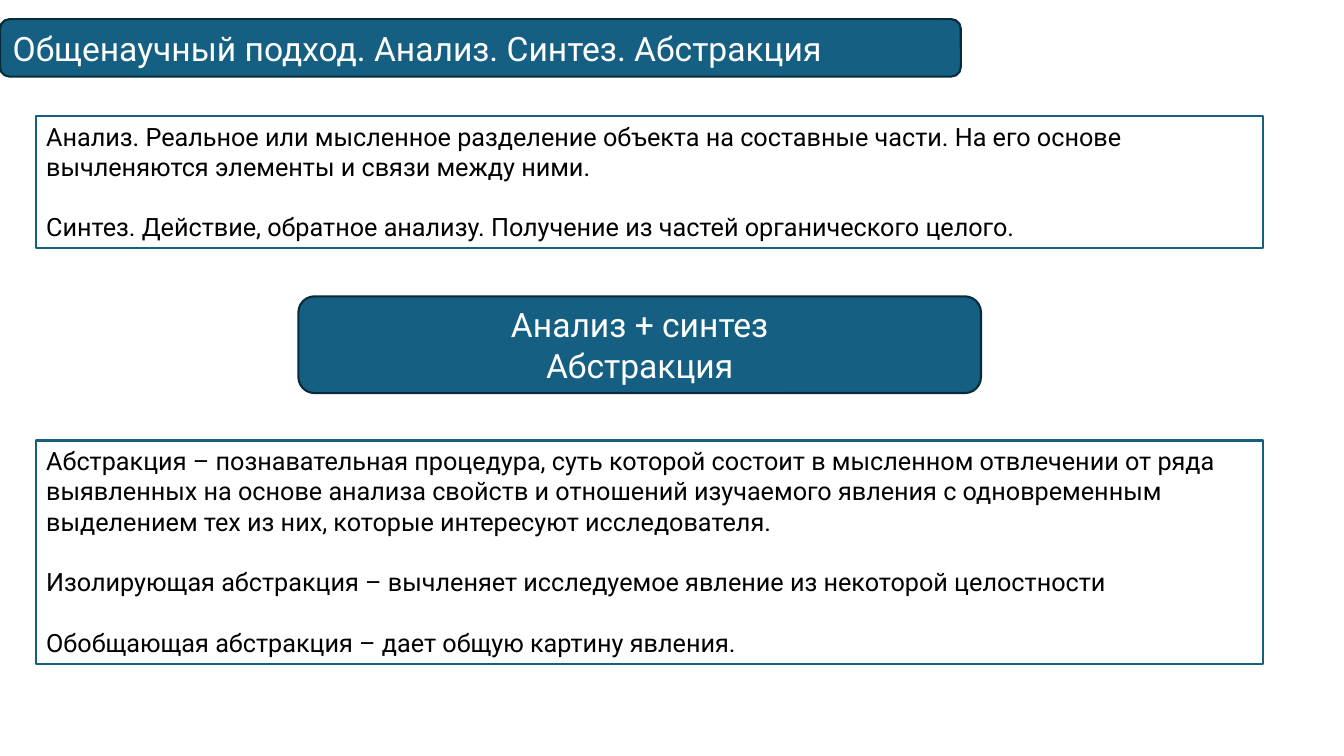
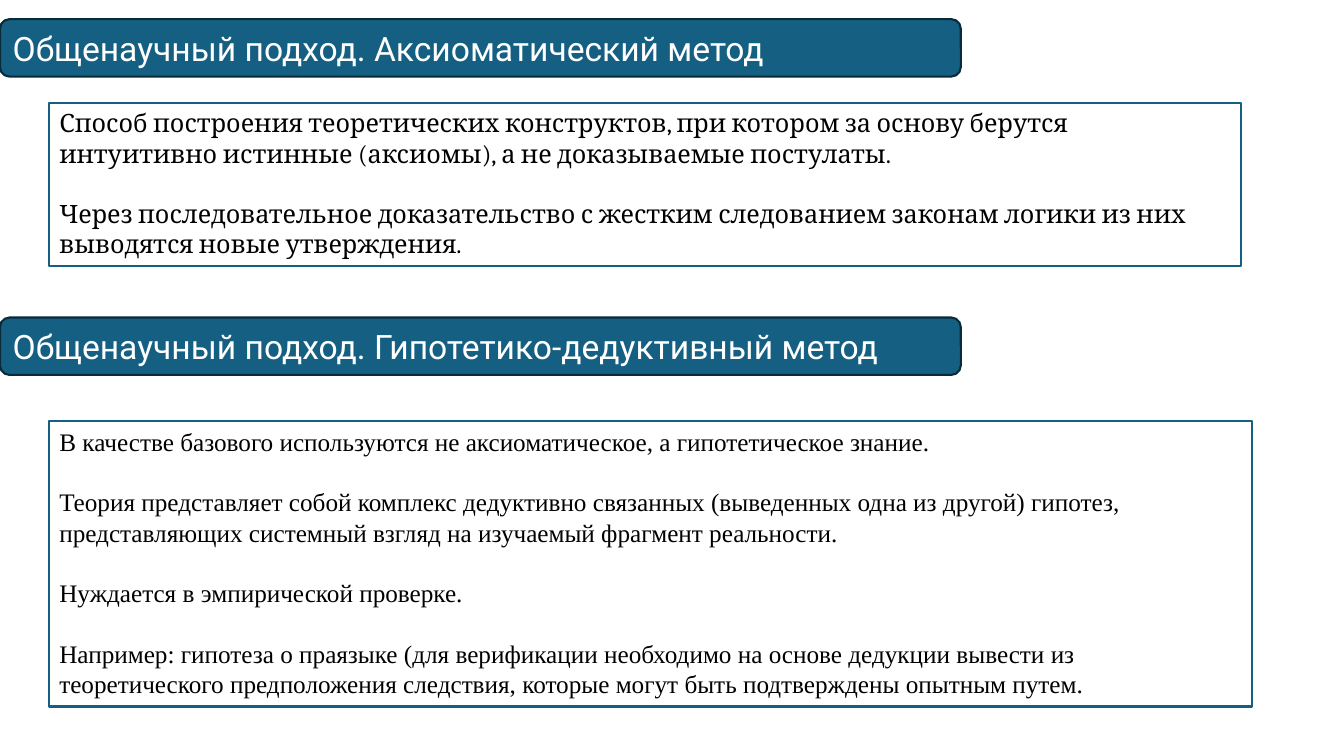
from dataclasses import dataclass

from pptx import Presentation, util as u
from pptx.dml.color import RGBColor
from pptx.enum import shapes, text

PX = 9144


@dataclass(frozen=True)
class Theme:
    """Colours, fonts and point sizes shared by the slides."""
    teal: str = "156082"
    navy: str = "092A39"
    white: str = "FFFFFF"
    black: str = "000000"
    sans: str = "Roboto"
    serif: str = "Cambria"
    times: str = "Times New Roman"
    heading: int = 24
    body: int = 18
    gap: float = 21.6
    outline: float = 1.5


THEME = Theme()


def add_box(page, preset, area, fill, line):
    """Add a filled, outlined shape without shadow."""
    box = page.shapes.add_shape(preset, *(side * PX for side in area))
    box.shadow.inherit = False
    box.fill.solid()
    box.fill.fore_color.rgb = RGBColor.from_string(fill)
    box.line.color.rgb = RGBColor.from_string(line)
    box.line.width = u.Pt(THEME.outline)
    return box


def write(box, lines, font, size, color, align, gap=0):
    """Write one paragraph per line, with a gap between paragraphs."""
    frame = box.text_frame
    frame.word_wrap = True
    for index, line in enumerate(lines):
        para = frame.add_paragraph() if index else frame.paragraphs[0]
        para.text = line
        para.alignment = align
        if index and gap:
            para.space_before = u.Pt(gap)
        para.font.name = font
        para.font.size = u.Pt(size)
        para.font.color.rgb = RGBColor.from_string(color)


def add_band(page, area, lines, align):
    """Add a rounded teal band with white text."""
    band = add_box(page, shapes.MSO_SHAPE.ROUNDED_RECTANGLE, area, THEME.teal, THEME.navy)
    band.text_frame.vertical_anchor = text.MSO_ANCHOR.MIDDLE
    write(band, lines, THEME.sans, THEME.heading, THEME.white, align)


def add_title(page, title, top=19):
    """Add a title band at the left edge of the slide."""
    add_band(page, (0, top, 953, 57), [title], text.PP_ALIGN.LEFT)


def add_panel(page, area, lines, font):
    """Add a white outlined panel of spaced body paragraphs."""
    panel = add_box(page, shapes.MSO_SHAPE.RECTANGLE, area, THEME.white, THEME.teal)
    panel.text_frame.vertical_anchor = text.MSO_ANCHOR.TOP
    panel.text_frame.auto_size = text.MSO_AUTO_SIZE.SHAPE_TO_FIT_TEXT
    write(panel, lines, font, THEME.body, THEME.black, text.PP_ALIGN.LEFT, THEME.gap)


def build_abstraction(page):
    """Build the slide on analysis, synthesis and abstraction."""
    add_title(page, "Общенаучный подход. Анализ. Синтез. Абстракция")
    add_panel(page, (36, 115, 1217, 131), [
        "Анализ. Реальное или мысленное разделение объекта на составные части. "
        "На его основе вычленяются элементы и связи между ними.",
        "Синтез. Действие, обратное анализу. Получение из частей органического целого.",
    ], THEME.sans)
    add_band(page, (296, 294, 677, 96), ["Анализ + синтез", "Абстракция"],
             text.PP_ALIGN.CENTER)
    add_panel(page, (36, 437, 1217, 222), [
        "Абстракция – познавательная процедура, суть которой состоит в мысленном "
        "отвлечении от ряда выявленных на основе анализа свойств и отношений изучаемого "
        "явления с одновременным выделением тех из них, которые интересуют исследователя.",
        "Изолирующая абстракция – вычленяет исследуемое явление из некоторой целостности",
        "Обобщающая абстракция – дает общую картину явления.",
    ], THEME.sans)


def build_methods(page):
    """Build the slide on the axiomatic and hypothetico-deductive methods."""
    add_title(page, "Общенаучный подход. Аксиоматический метод")
    add_panel(page, (49, 102, 1182, 162), [
        "Способ построения теоретических конструктов, при котором за основу берутся "
        "интуитивно истинные (аксиомы), а не доказываемые постулаты.",
        "Через последовательное доказательство с жестким следованием законам логики "
        "из них выводятся новые утверждения.",
    ], THEME.serif)
    add_title(page, "Общенаучный подход. Гипотетико-дедуктивный метод", 315)
    add_panel(page, (49, 418, 1193, 283), [
        "В качестве базового используются не аксиоматическое, а гипотетическое знание.",
        "Теория представляет собой комплекс дедуктивно связанных (выведенных одна из "
        "другой) гипотез, представляющих системный взгляд на изучаемый фрагмент реальности.",
        "Нуждается в эмпирической проверке.",
        "Например: гипотеза о праязыке (для верификации необходимо на основе дедукции "
        "вывести из теоретического предположения следствия, которые могут быть "
        "подтверждены опытным путем.",
    ], THEME.times)


def main():
    """Build and save the deck."""
    deck = Presentation()
    deck.slide_width, deck.slide_height = 1333 * PX, 750 * PX
    for build in (build_abstraction, build_methods):
        build(deck.slides.add_slide(deck.slide_layouts[6]))
    deck.save("out.pptx")


if __name__ == "__main__":
    main()
